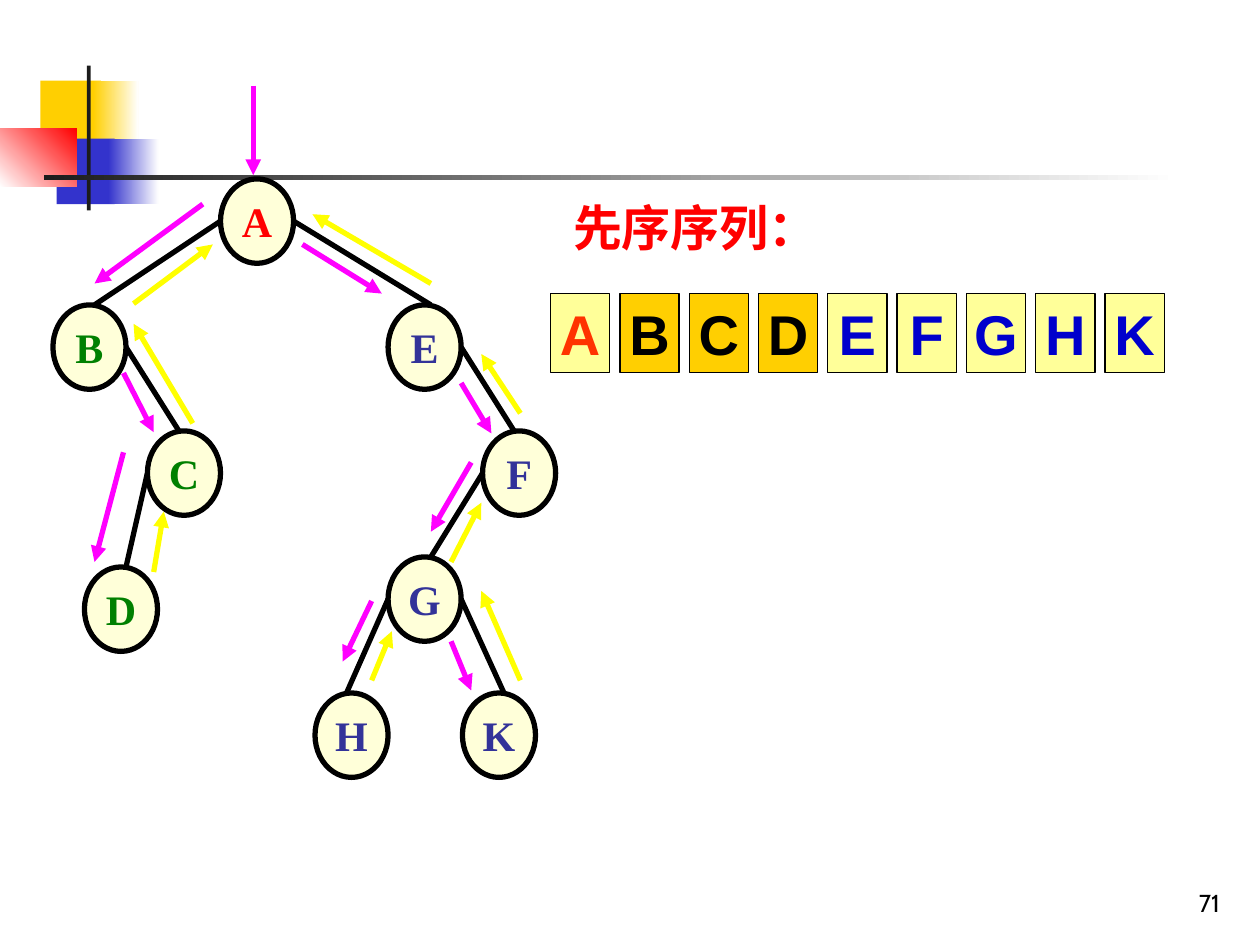
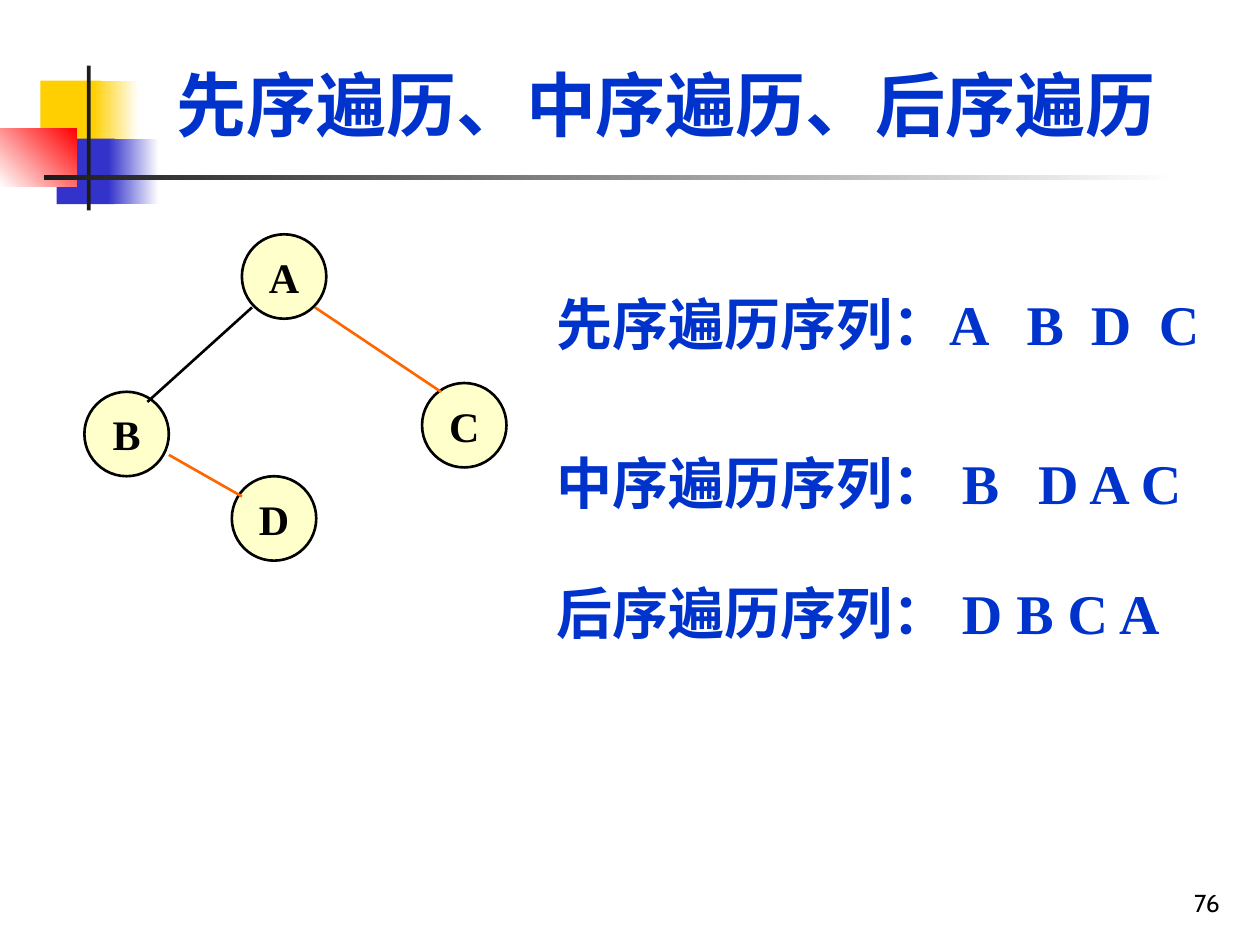
from lxml import etree
from pptx import Presentation
from pptx.dml.color import RGBColor
from pptx.enum.shapes import MSO_CONNECTOR, MSO_SHAPE
from pptx.enum.text import MSO_ANCHOR, MSO_AUTO_SIZE, PP_ALIGN
from pptx.oxml.ns import qn
from pptx.util import Inches, Pt

RECTANGLE, OVAL = MSO_SHAPE.RECTANGLE, MSO_SHAPE.OVAL
STRAIGHT = MSO_CONNECTOR.STRAIGHT
TOP, MIDDLE, BOTTOM = MSO_ANCHOR.TOP, MSO_ANCHOR.MIDDLE, MSO_ANCHOR.BOTTOM
LEFT, CENTER, RIGHT = PP_ALIGN.LEFT, PP_ALIGN.CENTER, PP_ALIGN.RIGHT
NO_FIT = MSO_AUTO_SIZE.NONE
TITLE_ONLY, BLANK = 5, 6

SERIF, SANS, NUMBER_FONT = "Times New Roman", "Arial", "Cabin"
BLACK, WHITE, INK = "000000", "FFFFFF", "1C1C1C"
GOLD, INDIGO, RED = "FFCF01", "3333CC", "FF0000"
HEADING_BLUE, GREEN, NAVY = "0033CC", "008000", "333399"
MAGENTA, YELLOW, ORANGE = "FF00FF", "FFFF00", "FF6600"

LETTER_COLORS = {"A": RED, **dict.fromkeys("BCD", GREEN), **dict.fromkeys("EFGHK", NAVY)}
WALK_NODES = {
    "A": (1.33, 0), "B": (0, 1), "C": (0.75, 2), "D": (0.25, 3.08), "E": (2.66, 1),
    "F": (3.41, 2), "G": (2.66, 3), "H": (2.08, 4.08), "K": (3.25, 4.08),
}
WALK_BRANCHES = [
    ("A", "B", 0.33), ("B", "C", 1), ("C", "D", 0.58), ("A", "E", 3),
    ("E", "F", 3.66), ("F", "G", 3), ("G", "H", 2.33), ("G", "K", 3.58),
]
DESCENTS = [
    (1.59, -0.74, 1.59, -0.03), (1.19, 0.2, 0.33, 0.83), (0.56, 1.54, 0.8, 2.01),
    (0.56, 2.17, 0.33, 3.04), (1.98, 0.52, 2.61, 0.91), (3.24, 1.62, 3.48, 2.02),
    (3.32, 2.25, 3, 2.8), (2.53, 3.35, 2.3, 3.83), (3.16, 3.67, 3.32, 4.06),
]
RETURNS = [
    (0.8, 3.12, 0.88, 2.64), (1.11, 1.94, 0.64, 1.15), (0.64, 0.99, 1.27, 0.52),
    (2.53, 3.98, 2.69, 3.59), (3.71, 3.98, 3.4, 3.27), (3.16, 3.04, 3.4, 2.57),
    (3.71, 1.86, 3.4, 1.39), (3, 0.83, 2.06, 0.28),
]
SMALL_NODES = {"A": (1.25, 0), "D": (1.17, 1.92), "B": (0, 1.25), "C": (2.68, 1.18)}
SMALL_BRANCHES = [
    (BLACK, (1.33, 0.58, 0.5, 1.33)),
    (ORANGE, (1.83, 0.58, 2.83, 1.25)),
    (ORANGE, (0.67, 1.75, 1.25, 2.08)),
]
ORDERS = [
    (0, "先序遍历序列：A\tB\tD\tC", [3.73, 4.24, 4.78]),
    (1.26, "中序遍历序列： B\tD A C", [3.82]),
    (2.29, "后序遍历序列： D B C A", []),
]


def rgb(code):
    """Turn a hex string into a colour."""
    return RGBColor.from_string(code)


def write(shape, text, size, color, font=SERIF, bold=True, align=LEFT,
          anchor=TOP, wrap=True, tabs=()):
    """Put one formatted paragraph into a shape and return it."""
    frame = shape.text_frame
    frame.word_wrap = wrap
    frame.auto_size = NO_FIT
    frame.vertical_anchor = anchor
    para = frame.paragraphs[0]
    para.alignment = align
    if tabs:
        tab_list = etree.SubElement(para._p.get_or_add_pPr(), qn("a:tabLst"))
        for stop in tabs:
            etree.SubElement(tab_list, qn("a:tab"), pos=str(Inches(stop)), algn="l")
    span = para.add_run()
    span.text = text
    span.font.name = font
    span.font.size = Pt(size)
    span.font.bold = bold
    span.font.color.rgb = rgb(color)
    return para


def add_text(page, box, text, size, color, **style):
    """Add a text box and return its paragraph."""
    return write(page.shapes.add_textbox(*map(Inches, box)), text, size, color, **style)


def add_block(page, kind, box, fill, line_width=0):
    """Add a flat filled shape, outlined in black when a width is given."""
    shape = page.shapes.add_shape(kind, *map(Inches, box))
    shape.shadow.inherit = False
    shape.fill.solid()
    shape.fill.fore_color.rgb = rgb(fill)
    if line_width:
        shape.line.color.rgb = rgb(BLACK)
        shape.line.width = Pt(line_width)
    else:
        shape.line.fill.background()
    return shape


def add_fade(page, box, start, end, angle=0):
    """Add a rectangle that fades from one colour to another."""
    fill = add_block(page, RECTANGLE, box, start).fill
    fill.gradient()
    fill.gradient_angle = angle
    for stop, color, position in zip(fill.gradient_stops, (start, end), (0, 1)):
        stop.color.rgb = rgb(color)
        stop.position = position


def add_line(page, origin, ends, color, width, arrow=False):
    """Add a straight line, given relative to an origin."""
    left, top = origin
    x1, y1, x2, y2 = ends
    line = page.shapes.add_connector(
        STRAIGHT, *map(Inches, (left + x1, top + y1, left + x2, top + y2)))
    line.line.color.rgb = rgb(color)
    line.line.width = Pt(width)
    if arrow:
        etree.SubElement(line.line._get_or_add_ln(), qn("a:tailEnd"), type="triangle")
    etree.SubElement(line._element.spPr, qn("a:effectLst"))


def add_nodes(page, origin, nodes, size, fill, line_width, colors):
    """Add the lettered circles of a tree."""
    left, top = origin
    for letter, (x, y) in nodes.items():
        node = add_block(page, OVAL, (left + x, top + y, *size), fill, line_width)
        write(node, letter, 24, colors.get(letter, BLACK),
              align=CENTER, anchor=MIDDLE, wrap=False)


def add_frame(page, number):
    """Draw the corner ornament, the rule and the page number."""
    add_block(page, RECTANGLE, (0.32, 0.64, 0.48, 0.52), GOLD)
    add_fade(page, (0.74, 0.64, 0.36, 0.52), GOLD, WHITE)
    add_block(page, RECTANGLE, (0.45, 1.1, 0.46, 0.52), INDIGO)
    add_fade(page, (0.86, 1.1, 0.4, 0.52), INDIGO, WHITE)
    add_fade(page, (0, 1.02, 0.61, 0.46), WHITE, RED, 45)
    add_block(page, RECTANGLE, (0.69, 0.52, 0.03, 1.15), INK)
    add_fade(page, (0.35, 1.39, 9, 0.04), INK, WHITE)
    para = add_text(page, (7.7, 6.83, 2.08, 0.5), str(number), 14, BLACK,
                    font=NUMBER_FONT, bold=False, align=RIGHT, anchor=BOTTOM)
    para.line_spacing = 0.8


def add_walk_tree(page, origin):
    """Draw the nine-node tree with the arrows of its traversal."""
    width, height = 0.58, 0.67
    add_nodes(page, origin, WALK_NODES, (width, height), "FFFFD9", 3, LETTER_COLORS)
    for parent, child, end_x in WALK_BRANCHES:
        x, y = WALK_NODES[parent]
        child_x, child_y = WALK_NODES[child]
        start_x = x + width if child_x > x else x
        add_line(page, origin, (start_x, y + height / 2, end_x, child_y), BLACK, 3)
    for color, moves in ((MAGENTA, DESCENTS), (YELLOW, RETURNS)):
        for move in moves:
            add_line(page, origin, move, color, 3, arrow=True)


def add_sequence(page, origin):
    """Draw the row of visited letters."""
    left, top = origin
    pale = "FFFF99"
    styles = {"A": (pale, "FF3300"), **dict.fromkeys("BCD", (GOLD, BLACK))}
    for column, letter in enumerate("ABCDEFGHK"):
        fill, color = styles.get(letter, (pale, "0000CC"))
        cell = add_block(page, RECTANGLE, (left + column * 0.55, top, 0.47, 0.63), fill, 0.75)
        write(cell, letter, 32, color, font=SANS, align=CENTER, anchor=MIDDLE, wrap=False)


def add_small_tree(page, origin):
    """Draw the four-node tree."""
    add_nodes(page, origin, SMALL_NODES, (0.67, 0.67), "FFFFCC", 1.5, {})
    for color, ends in SMALL_BRANCHES:
        add_line(page, origin, ends, color, 1.5)


def add_orders(page, origin):
    """Write the three traversal orders."""
    left, top = origin
    for y, text, tabs in ORDERS:
        add_text(page, (left, top + y, 5.5, 0.64), text, 32, HEADING_BLUE, tabs=tabs)


def build_walk_page(deck):
    """Build the page that follows a preorder walk."""
    page = deck.slides.add_slide(deck.slide_layouts[BLANK])
    add_frame(page, 71)
    add_walk_tree(page, (0.42, 1.42))
    add_text(page, (4.45, 1.52, 2.83, 0.57), "先序序列：", 28, RED)
    add_sequence(page, (4.37, 2.33))


def build_orders_page(deck):
    """Build the page that compares the three orders."""
    page = deck.slides.add_slide(deck.slide_layouts[TITLE_ONLY])
    add_frame(page, 76)
    title = page.shapes.title
    title.left, title.top, title.width, title.height = map(Inches, (1.3, 0.44, 8.27, 0.77))
    write(title, "先序遍历、中序遍历、后序遍历", 40, HEADING_BLUE)
    add_small_tree(page, (0.67, 1.86))
    add_orders(page, (4.32, 2.25))


def main():
    """Build and save the deck."""
    deck = Presentation()
    deck.slide_width, deck.slide_height = Inches(10), Inches(7.5)
    build_walk_page(deck)
    build_orders_page(deck)
    deck.save("out.pptx")


if __name__ == "__main__":
    main()
